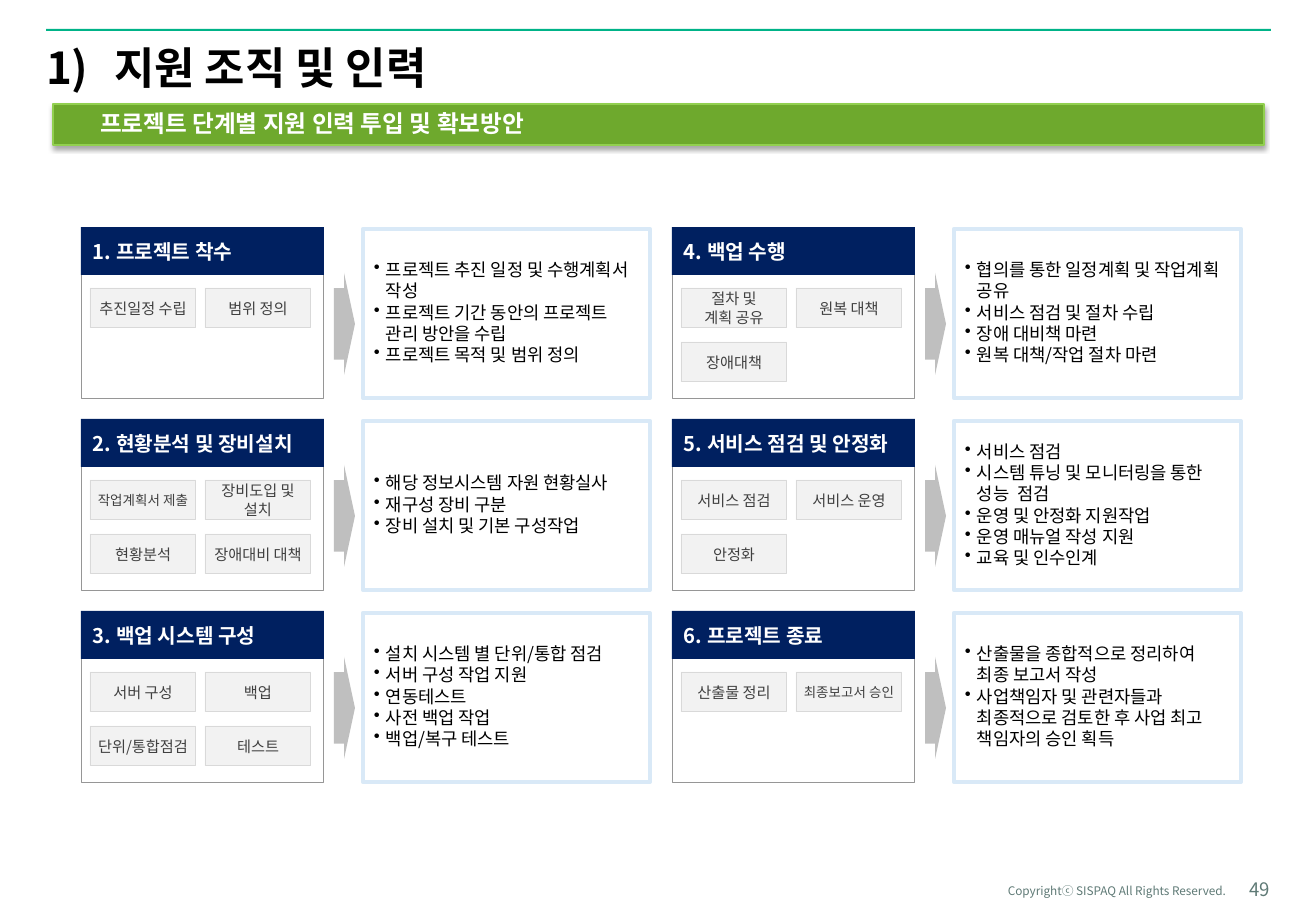
from lxml import etree
from pptx import Presentation
from pptx import util as u
from pptx.dml.color import RGBColor
from pptx.enum import shapes, text
from pptx.oxml import ns

SCALE = 7526
FONT = "Noto Sans CJK KR"
TEAL = RGBColor(0x00, 0xB3, 0x88)
GREEN = RGBColor(0x6E, 0xA9, 0x2D)
LIME = RGBColor(0x92, 0xD0, 0x50)
NAVY = RGBColor(0x00, 0x20, 0x60)
SKY = RGBColor(0xD9, 0xE9, 0xF7)
WHITE = RGBColor(0xFF, 0xFF, 0xFF)
BLACK = RGBColor(0x00, 0x00, 0x00)
DARK_GRAY = RGBColor(0x40, 0x40, 0x40)
FRAME_GRAY = RGBColor(0x96, 0x96, 0x96)
ARROW_GRAY = RGBColor(0xBF, 0xBF, 0xBF)
TAG_LINE = RGBColor(0xD9, 0xD9, 0xD9)
TAG_FILL = RGBColor(0xF2, 0xF2, 0xF2)
FOOTER_GRAY = RGBColor(0x5F, 0x7A, 0x76)

KIND = shapes.MSO_SHAPE
ALIGN = text.PP_ALIGN
ANCHOR = text.MSO_ANCHOR

STAGES = [
    ("1. 프로젝트 착수", ["추진일정 수립", "범위 정의"], 5,
     ["프로젝트 추진 일정 및 수행계획서 작성", "프로젝트 기간 동안의 프로젝트 관리 방안을 수립",
      "프로젝트 목적 및 범위 정의"]),
    ("2. 현황분석 및 장비설치", ["작업계획서 제출", "장비도입 및\n설치", "현황분석", "장애대비 대책"], 3,
     ["해당 정보시스템 자원 현황실사", "재구성 장비 구분", "장비 설치 및 기본 구성작업"]),
    ("3. 백업 시스템 구성", ["서버 구성", "백업", "단위/통합점검", "테스트"], 5,
     ["설치 시스템 별 단위/통합 점검", "서버 구성 작업 지원", "연동테스트", "사전 백업 작업",
      "백업/복구 테스트"]),
    ("4. 백업 수행", ["절차 및\n계획 공유", "원복 대책", "장애대책"], 5,
     ["협의를 통한 일정계획 및 작업계획 공유", "서비스 점검 및 절차 수립", "장애 대비책 마련",
      "원복 대책/작업 절차 마련"]),
    ("5. 서비스 점검 및 안정화", ["서비스 점검", "서비스 운영", "안정화"], 6,
     ["서비스 점검", "시스템 튜닝 및 모니터링을 통한 성능  점검", "운영 및 안정화 지원작업",
      "운영 매뉴얼 작성 지원", "교육 및 인수인계"]),
    ("6. 프로젝트 종료", ["산출물 정리", "최종보고서 승인"], 5,
     ["산출물을 종합적으로 정리하여 최종 보고서 작성",
      "사업책임자 및 관련자들과 최종적으로 검토한 후 사업 최고 책임자의 승인 획득"]),
]

presentation = Presentation()
presentation.slide_width = 1316 * SCALE
presentation.slide_height = 911 * SCALE
slide = presentation.slides.add_slide(presentation.slide_layouts[6])


def add_box(kind, left, top, width, height, fill, line=None, weight=0):
    shape = slide.shapes.add_shape(kind, *(value * SCALE for value in (left, top, width, height)))
    shape.shadow.inherit = False
    shape.fill.solid()
    shape.fill.fore_color.rgb = fill
    if line is None:
        shape.line.fill.background()
    else:
        shape.line.color.rgb = line
        shape.line.width = u.Pt(weight)
    return shape


def write(shape, lines, size, color, bold=False, align=ALIGN.LEFT, anchor=ANCHOR.MIDDLE,
          margins=(0, 0, 0, 0), wrap=True, bullet=None, indent=0):
    left, top, right, bottom = (value * SCALE for value in margins)
    frame = shape.text_frame
    frame_format = {"word_wrap": wrap, "vertical_anchor": anchor, "margin_left": left,
                    "margin_top": top, "margin_right": right, "margin_bottom": bottom}
    for name, value in frame_format.items():
        setattr(frame, name, value)
    for index, line in enumerate(lines):
        paragraph = frame.add_paragraph() if index else frame.paragraphs[0]
        paragraph.alignment = align
        if bullet:
            properties = paragraph._p.get_or_add_pPr()
            properties.set("marL", str(indent * SCALE))
            properties.set("indent", str(-indent * SCALE))
            tag, attribute, value = bullet
            etree.SubElement(properties, ns.qn(tag)).set(attribute, value)
        run = paragraph.add_run()
        run.text = line
        run.font.color.rgb = color
        for name, value in {"size": u.Pt(size), "bold": bold, "name": FONT}.items():
            setattr(run.font, name, value)
        etree.SubElement(run._r.get_or_add_rPr(), ns.qn("a:ea")).set("typeface", FONT)


add_box(KIND.RECTANGLE, 46, 29, 1225, 2, TEAL)

page_number = slide.shapes.add_textbox(*(value * SCALE for value in (1213, 870, 57, 30)))
write(page_number, ["49"], 11, FOOTER_GRAY, align=ALIGN.RIGHT, anchor=ANCHOR.BOTTOM)
copyright_line = slide.shapes.add_textbox(*(value * SCALE for value in (899, 871, 327, 27)))
write(copyright_line, ["Copyrightⓒ SISPAQ All Rights Reserved."], 7, FOOTER_GRAY,
      align=ALIGN.RIGHT, anchor=ANCHOR.BOTTOM)

title = slide.shapes.add_textbox(*(value * SCALE for value in (46, 32, 1225, 70)))
write(title, ["지원 조직 및 인력"], 26, BLACK, bold=True,
      bullet=("a:buAutoNum", "type", "arabicParenR"), indent=68)

banner = add_box(KIND.ROUNDED_RECTANGLE, 53, 104, 1211, 41, GREEN, LIME, 0.75)
banner.adjustments[0] = 0
write(banner, ["프로젝트 단계별 지원 인력 투입 및 확보방안"], 14, WHITE, bold=True, margins=(47, 5, 5, 7))
effects = banner._element.spPr.find(ns.qn("a:effectLst"))
shadow = etree.SubElement(effects, ns.qn("a:outerShdw"), blurRad=str(u.Pt(3.1)),
                          dist=str(u.Pt(1.8)), dir="5400000", rotWithShape="0")
shadow_color = etree.SubElement(shadow, ns.qn("a:srgbClr"), val="000000")
etree.SubElement(shadow_color, ns.qn("a:alpha"), val="35000")

for stage_index, (heading, tags, line_count, details) in enumerate(STAGES):
    column, row = divmod(stage_index, 3)
    left, top = 81 + 591 * column, 227 + 192 * row

    add_box(KIND.RECTANGLE, left, top + 9, 242, 162, WHITE, FRAME_GRAY, 0.25)
    header = add_box(KIND.RECTANGLE, left, top, 243, 48, NAVY)
    write(header, [heading], 12, WHITE, bold=True, margins=(12, 6, 0, 6))

    for tag_index, tag in enumerate(tags):
        tag_row, tag_column = divmod(tag_index, 2)
        tag_box = add_box(KIND.RECTANGLE, left + 9 + 115 * tag_column, top + 61 + 54 * tag_row,
                          106, 40, TAG_FILL, TAG_LINE, 0.5)
        lines = tag.split("\n")
        size = 8 if max(map(len, lines)) > 7 else 9
        write(tag_box, lines, size, DARK_GRAY, align=ALIGN.CENTER, wrap=False)

    arrow = add_box(KIND.RIGHT_ARROW, left + 253, top + 46, 21, 102, ARROW_GRAY)
    arrow.adjustments[0], arrow.adjustments[1] = 0.7, 0.52

    add_box(KIND.RECTANGLE, left + 282, top + 2, 287, 169, WHITE, SKY, 2.5)
    height = 21 * line_count + 7
    detail_box = slide.shapes.add_textbox((left + 291) * SCALE, (top + 85 - height // 2) * SCALE,
                                          269 * SCALE, height * SCALE)
    write(detail_box, details, 10.5, BLACK, margins=(2, 2, 2, 2),
          bullet=("a:buChar", "char", "•"), indent=12)

presentation.save("out.pptx")
